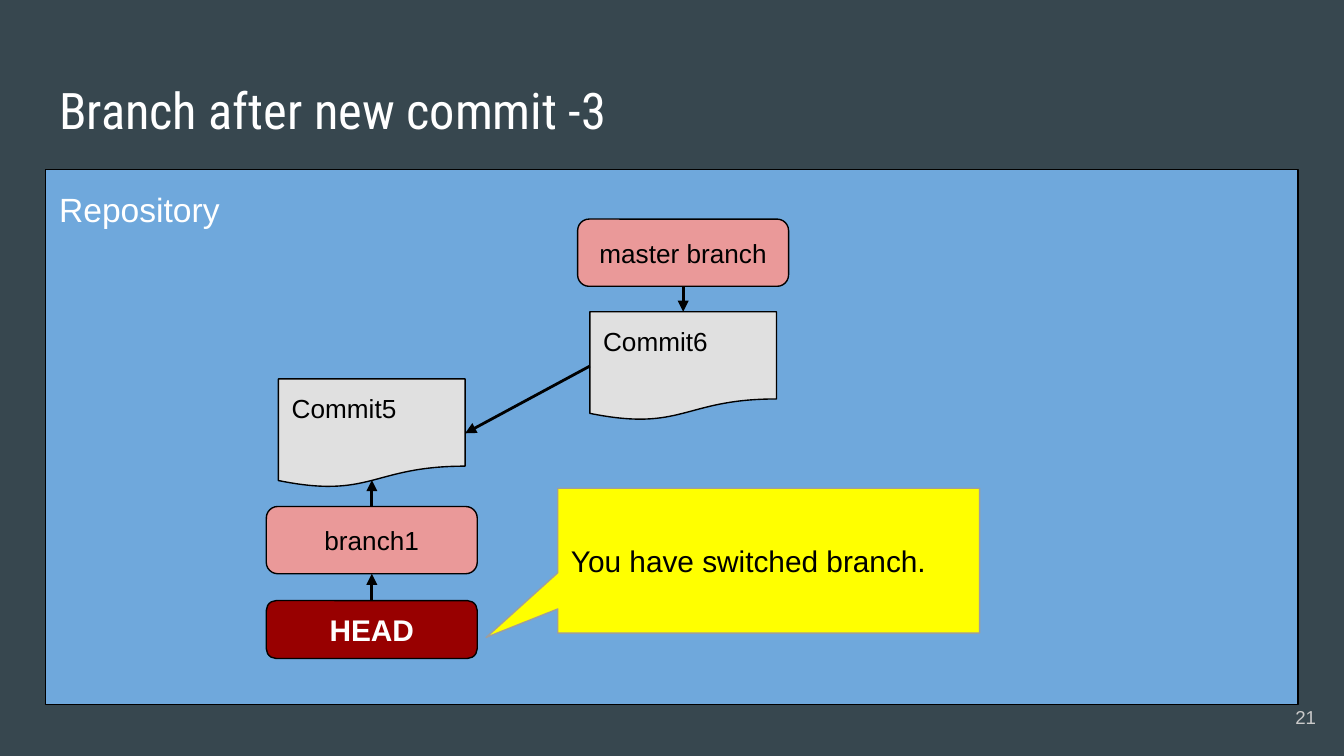
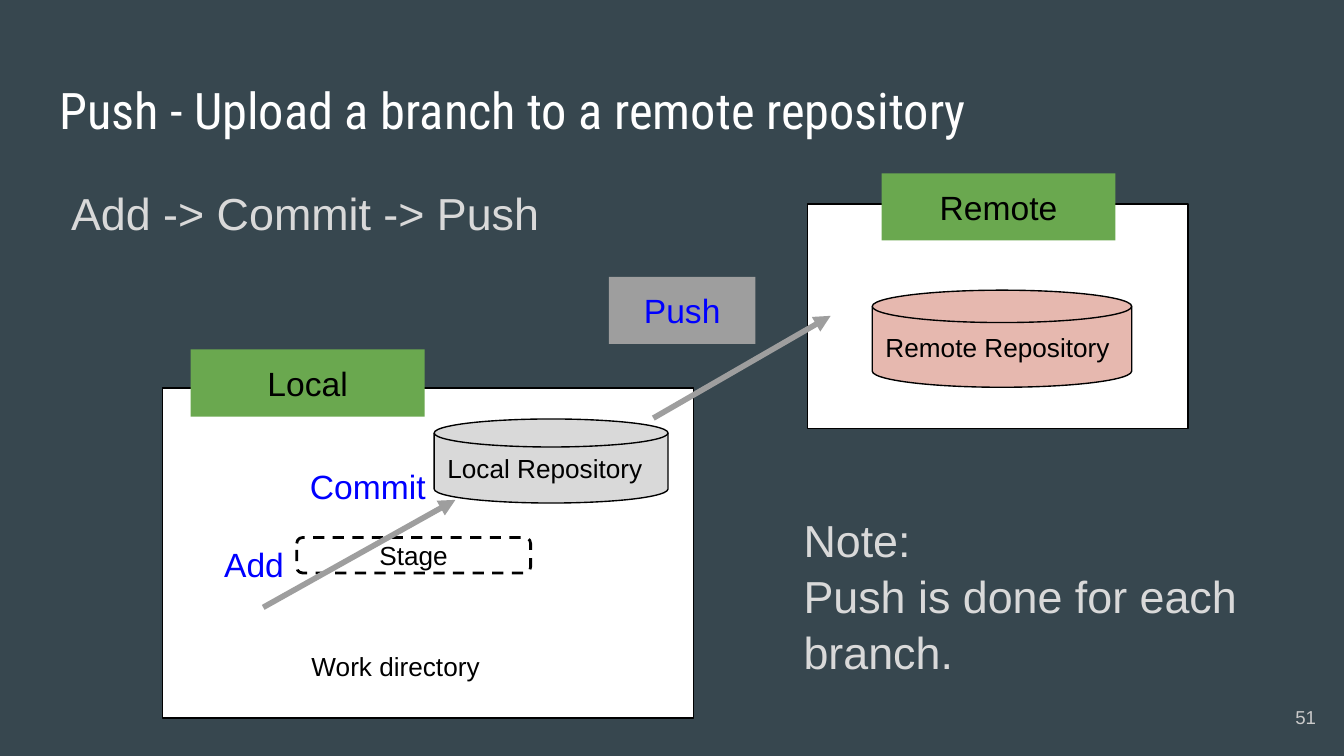
"""Build two slides about version control branches and pushing."""
from dataclasses import dataclass

from lxml import etree
from pptx import Presentation
from pptx.dml.color import RGBColor
from pptx.enum.dml import MSO_LINE
from pptx.enum.shapes import MSO_CONNECTOR, MSO_SHAPE
from pptx.enum.text import MSO_ANCHOR, MSO_AUTO_SIZE, PP_ALIGN
from pptx.oxml.ns import qn
from pptx.util import Pt

LEFT, CENTER, RIGHT = PP_ALIGN.LEFT, PP_ALIGN.CENTER, PP_ALIGN.RIGHT
TOP, MIDDLE = MSO_ANCHOR.TOP, MSO_ANCHOR.MIDDLE
RECTANGLE, ROUNDED = MSO_SHAPE.RECTANGLE, MSO_SHAPE.ROUNDED_RECTANGLE
DOCUMENT, DISK = MSO_SHAPE.FLOWCHART_DOCUMENT, MSO_SHAPE.FLOWCHART_MAGNETIC_DISK
PROCESS, CALLOUT = MSO_SHAPE.FLOWCHART_ALTERNATE_PROCESS, MSO_SHAPE.ROUNDED_RECTANGULAR_CALLOUT
DASH, STRAIGHT = MSO_LINE.DASH, MSO_CONNECTOR.STRAIGHT
SITE_TOP, SITE_LEFT, SITE_BOTTOM, SITE_RIGHT = range(4)


class Theme:
    """Colours, fonts, type sizes and line widths in points."""
    background, white, black = "37474F", "FFFFFF", "000000"
    sky, paper, pink, crimson = "6FA8DC", "E0E0E0", "EA9999", "980000"
    yellow, grey, green, blue = "FFFF00", "9E9E9E", "6AA84F", "0000FF"
    rose, silver, number = "E6B8AF", "D9D9D9", "CACACA"
    heading_font, text_font = "Roboto Condensed", "Arial"
    title, lead, label, callout, node, small = 27, 24, 18, 16, 14, 10
    hairline, arrow, thick_arrow, inset = 0.75, 1.5, 3, 7.2


@dataclass
class Style:
    """Look of a shape and its text."""
    shape: object = None
    fill: str = None
    line: str = None
    size: int = Theme.node
    colour: str = Theme.black
    bold: bool = False
    align: object = LEFT
    anchor: object = TOP
    font: str = Theme.text_font
    width: float = Theme.hairline
    dash: object = None
    adjust: tuple = ()
    spacing: float = 1
    after: float = 0


STYLES = {
    "title": Style(size=Theme.title, colour=Theme.white, font=Theme.heading_font),
    "number": Style(size=Theme.small, colour=Theme.number, align=RIGHT, anchor=MIDDLE),
    "repository": Style(fill=Theme.sky, line=Theme.black, size=Theme.label,
                        colour=Theme.white, spacing=1.15, after=12),
    "commit": Style(DOCUMENT, Theme.paper, Theme.black),
    "branch": Style(ROUNDED, Theme.pink, Theme.black, align=CENTER, anchor=MIDDLE,
                    adjust=(0.17,)),
    "head": Style(ROUNDED, Theme.crimson, Theme.black, Theme.callout, Theme.white, True,
                  CENTER, MIDDLE, adjust=(0.17,)),
    "callout": Style(CALLOUT, Theme.yellow, Theme.grey, Theme.callout, anchor=MIDDLE,
                     adjust=(-0.67, 0.53, 0)),
    "panel": Style(RECTANGLE, Theme.white, Theme.black),
    "remote disk": Style(DISK, Theme.rose, Theme.black, anchor=MIDDLE),
    "local disk": Style(DISK, Theme.silver, Theme.black, anchor=MIDDLE),
    "place": Style(RECTANGLE, Theme.green, size=Theme.label, align=CENTER),
    "stage": Style(PROCESS, line=Theme.black, align=CENTER, anchor=MIDDLE,
                   width=Theme.arrow, dash=DASH),
    "push": Style(RECTANGLE, Theme.grey, size=Theme.label, colour=Theme.blue,
                  align=CENTER, anchor=MIDDLE),
    "plain": Style(),
    "action": Style(size=Theme.label, colour=Theme.blue),
    "lead": Style(size=Theme.lead, colour=Theme.silver, spacing=1.04),
}

SLIDE_SIZE = 720, 405
TITLE_BOX = 24.5, 35.3, 671, 45.4
NUMBER_BOX = 668.9, 368.6, 43.2, 31
REPOSITORY_BOX = 24.5, 90.7, 671, 286.6
DOCUMENT_WAVE = 0.07

NODE_SIZES = {"commit": (100, 58.3), "branch": (113, 36), "head": (113, 31)}
BRANCH1_CENTRE, MASTER_CENTRE = 199.2, 366
NODES = [
    ("Commit5", "commit", BRANCH1_CENTRE, 203),
    ("branch1", "branch", BRANCH1_CENTRE, 271.4),
    ("HEAD", "head", BRANCH1_CENTRE, 321.8),
    ("master branch", "branch", MASTER_CENTRE, 117.4),
    ("Commit6", "commit", MASTER_CENTRE, 167),
]
LINKS = [
    ("master branch", SITE_BOTTOM, "Commit6", SITE_TOP),
    ("branch1", SITE_TOP, "Commit5", SITE_BOTTOM),
    ("HEAD", SITE_TOP, "branch1", SITE_BOTTOM),
    ("Commit6", SITE_LEFT, "Commit5", SITE_RIGHT),
]
CALLOUT_ITEM = ("callout", (298.8, 261.6, 226, 77.6), "You have switched branch.")

PUSH_ITEMS = [
    ("panel", (432.7, 109.4, 203.8, 120.2), ""),
    ("remote disk", (467.3, 155.5, 139, 52), "Remote Repository"),
    ("place", (472.3, 92.9, 125.3, 36), "Remote"),
    ("panel", (87, 207.8, 284.4, 177), ""),
    ("local disk", (232.6, 224.5, 125.3, 45), "Local Repository"),
    ("plain", (159.8, 341.3, 125.3, 31.7), "Work directory"),
    ("stage", (159, 288, 125.3, 19), "Stage"),
    ("place", (102.2, 187.2, 125.3, 36), "Local"),
    ("lead", (31, 91.4, 353, 44), "Add -> Commit -> Push"),
    ("action", (113, 284.4, 78.5, 36), "Add"),
    ("action", (159, 242.6, 117.4, 36), "Commit"),
    ("push", (326.2, 148.3, 78.5, 36), "Push"),
    ("lead", (423.4, 266.4, 260, 101.5), "Note:\nPush is done for each branch."),
]
PUSH_ARROWS = [
    ((141, 325.4), (244, 267.8)),
    ((350, 224), (445, 169.2)),
]


def paint(fill, colour):
    """Fill solid, or clear when there is no colour."""
    if colour:
        fill.solid()
        fill.fore_color.rgb = RGBColor.from_string(colour)
    else:
        fill.background()


def place(shape, box):
    """Move and size a shape in points."""
    shape.left, shape.top, shape.width, shape.height = map(Pt, box)


def write(shape, text, style):
    """Put styled text into a shape."""
    frame = shape.text_frame
    frame.text = text
    frame.word_wrap = True
    frame.auto_size = MSO_AUTO_SIZE.NONE
    frame.vertical_anchor = style.anchor
    frame.margin_left = frame.margin_right = Pt(Theme.inset)
    frame.margin_top = frame.margin_bottom = Pt(Theme.inset)
    for para in frame.paragraphs:
        para.alignment = style.align
        para.line_spacing = style.spacing
        para.space_before, para.space_after = Pt(0), Pt(style.after)
        for span in para.runs:
            span.font.name, span.font.size = style.font, Pt(style.size)
            span.font.bold = style.bold
            span.font.color.rgb = RGBColor.from_string(style.colour)


def outline(shape, style):
    """Apply the fill and the line of a style."""
    paint(shape.fill, style.fill)
    paint(shape.line.fill, style.line)
    if style.line:
        shape.line.width = Pt(style.width)
    if style.dash:
        shape.line.dash_style = style.dash


def add_item(page, kind, box, text):
    """Add a shape or a text box in a named style."""
    style = STYLES[kind]
    if style.shape is None:
        item = page.shapes.add_textbox(*map(Pt, box))
    else:
        item = page.shapes.add_shape(style.shape, *map(Pt, box))
        item.shadow.inherit = False
        outline(item, style)
        for index, value in enumerate(style.adjust):
            item.adjustments[index] = value
    if text:
        write(item, text, style)
    return item


def add_arrow(page, start, end, colour, width):
    """Add a straight line with an arrowhead at its end."""
    arrow = page.shapes.add_connector(STRAIGHT, *map(Pt, start + end))
    arrow.line.color.rgb = RGBColor.from_string(colour)
    arrow.line.width = Pt(width)
    properties = arrow._element.spPr
    etree.SubElement(properties.find(qn("a:ln")), qn("a:tailEnd"), type="triangle")
    etree.SubElement(properties, qn("a:effectLst"))
    return arrow


def add_page(deck, layout, title, number):
    """Add a slide with its title and page number."""
    page = deck.slides.add_slide(deck.slide_layouts.get_by_name(layout))
    place(page.shapes.title, TITLE_BOX)
    write(page.shapes.title, title, STYLES["title"])
    add_item(page, "number", NUMBER_BOX, number)
    return page


def build_branch_page(deck):
    """Draw the commits, branches and HEAD inside the repository."""
    page = add_page(deck, "Title and Content", "Branch after new commit -3", "21")
    repository = page.placeholders[1]
    place(repository, REPOSITORY_BOX)
    outline(repository, STYLES["repository"])
    write(repository, "Repository", STYLES["repository"])
    properties = repository.text_frame.paragraphs[0]._p.get_or_add_pPr()
    properties.set("marL", "0")
    properties.set("indent", "0")
    etree.SubElement(properties, qn("a:buNone"))

    nodes = {}
    for name, kind, centre, top in NODES:
        width, height = NODE_SIZES[kind]
        nodes[name] = add_item(page, kind, (centre - width / 2, top, width, height), name)
    for source, source_site, target, target_site in LINKS:
        link = add_arrow(page, (0, 0), (0, 0), Theme.black, Theme.arrow)
        link.begin_connect(nodes[source], source_site)
        link.end_connect(nodes[target], target_site)
        if target.startswith("Commit") and target_site == SITE_BOTTOM:
            link.end_y -= int(nodes[target].height * DOCUMENT_WAVE)
    add_item(page, *CALLOUT_ITEM)


def build_push_page(deck):
    """Draw the way from the work directory to the remote repository."""
    page = add_page(deck, "Title Only", "Push - Upload a branch to a remote repository", "51")
    for kind, box, text in PUSH_ITEMS:
        add_item(page, kind, box, text)
    for start, end in PUSH_ARROWS:
        add_arrow(page, start, end, Theme.grey, Theme.thick_arrow)


def main():
    """Build and save the deck."""
    deck = Presentation()
    deck.slide_width, deck.slide_height = map(Pt, SLIDE_SIZE)
    paint(deck.slide_master.background.fill, Theme.background)
    build_branch_page(deck)
    build_push_page(deck)
    deck.save("out.pptx")


if __name__ == "__main__":
    main()
